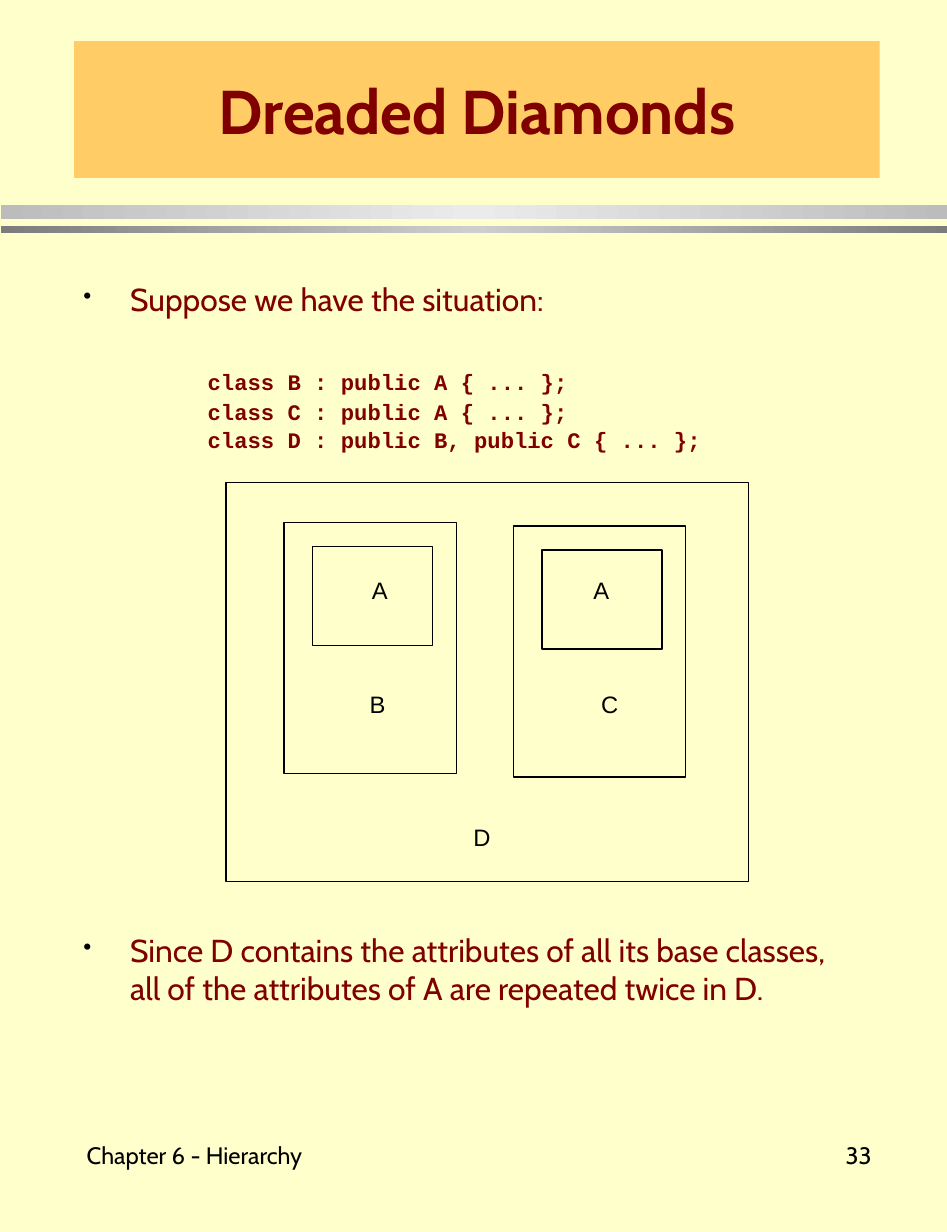
import copy

import pptx
import pptx.dml.color
import pptx.enum.shapes
import pptx.enum.text
import pptx.oxml.ns
import pptx.util

PX = 9144  # 100 px to the inch
THEME = {
    "page": "FFFFCC", "banner": "FFCC66", "maroon": "800000", "black": "000000",
    "light_bar": ("BCBCBC", "EBEBEB", "BCBCBC"),
    "dark_bar": ("7C7C7C", "CECECE", "7C7C7C"),
    "font": "Cabin", "code_font": "Courier New", "label_font": "Arial",
    "title": 39, "body": 20, "code": 14, "small": 15,
}
RGB = pptx.dml.color.RGBColor.from_string
RECTANGLE = pptx.enum.shapes.MSO_SHAPE.RECTANGLE
ALIGN = pptx.enum.text.PP_ALIGN
ANCHOR = pptx.enum.text.MSO_ANCHOR
qn = pptx.oxml.ns.qn


def add_text_frame(slide, box, anchor=ANCHOR.TOP):
    """Add a wrapping text box at box, in px, and return it with its text frame."""
    sp = slide.shapes.add_textbox(*(v * PX for v in box))
    tf = sp.text_frame
    tf.word_wrap = True
    tf.vertical_anchor = anchor
    tf.margin_left = tf.margin_right = 11 * PX
    tf.margin_top = tf.margin_bottom = 5 * PX
    return sp, tf


def add_run(p, text, size, color, font=THEME["font"], bold=False):
    r = p.add_run()
    r.text = text
    r.font.size = pptx.util.Pt(size)
    r.font.name = font
    r.font.bold = bold
    r.font.color.rgb = RGB(color)


prs = pptx.Presentation()
prs.slide_width = 830 * PX
prs.slide_height = 1080 * PX
slide = prs.slides.add_slide(prs.slide_layouts[6])
slide.background.fill.solid()
slide.background.fill.fore_color.rgb = RGB(THEME["page"])

# Gradient bars under the title
for top, height, colors in ((180, 12, THEME["light_bar"]), (198, 6, THEME["dark_bar"])):
    sp = slide.shapes.add_shape(RECTANGLE, 1 * PX, top * PX, 829 * PX, height * PX)
    sp.shadow.inherit = False
    sp.line.fill.background()
    sp.fill.gradient()
    sp.fill.gradient_angle = 0
    stop_list = next(sp.element.iter(qn("a:gsLst")))
    stop_list.append(copy.deepcopy(stop_list[-1]))
    for stop, position, color in zip(sp.fill.gradient_stops, (0, 0.5, 1), colors):
        stop.position = position
        stop.color.rgb = RGB(color)

# Footer
for text, left, width, align in (
    ("Chapter 6 - Hierarchy", 65, 258, ALIGN.LEFT),
    ("33", 609, 166, ALIGN.RIGHT),
):
    sp, tf = add_text_frame(slide, (left, 972, width, 81), ANCHOR.MIDDLE)
    p = tf.paragraphs[0]
    p.alignment = align
    add_run(p, text, THEME["small"], THEME["black"])

# Body: bullets and code, as (text, is code, space before in points)
sp, tf = add_text_frame(slide, (62, 240, 705, 720))
body = (
    ("Suppose we have the situation:", False, 0),
    ("class B : public A { ... };", True, 32),
    ("class C : public A { ... };", True, 2),
    ("class D : public B, public C { ... };", True, 1),
    ("Since D contains the attributes of all its base classes, "
     "all of the attributes of A are repeated twice in D.", False, 302),
)
for i, (text, is_code, space) in enumerate(body):
    p = tf.add_paragraph() if i else tf.paragraphs[0]
    p.space_before = pptx.util.Pt(space)
    pPr = p._p.get_or_add_pPr()
    if is_code:
        pPr.set("marL", str(109 * PX))
        add_run(p, text, THEME["code"], THEME["maroon"], THEME["code_font"], True)
    else:
        pPr.set("marL", str(41 * PX))
        pPr.set("indent", str(-41 * PX))
        bullet_color = pPr.makeelement(qn("a:buClr"), {})
        bullet_color.append(pPr.makeelement(qn("a:srgbClr"), {"val": THEME["black"]}))
        pPr.append(bullet_color)
        pPr.append(pPr.makeelement(qn("a:buSzPct"), {"val": "75000"}))
        pPr.append(pPr.makeelement(qn("a:buChar"), {"char": "•"}))
        add_run(p, text, THEME["body"], THEME["maroon"])

# Title
sp, tf = add_text_frame(slide, (65, 36, 706, 120), ANCHOR.MIDDLE)
sp.fill.solid()
sp.fill.fore_color.rgb = RGB(THEME["banner"])
p = tf.paragraphs[0]
p.alignment = ALIGN.CENTER
add_run(p, "Dreaded Diamonds", THEME["title"], THEME["maroon"], bold=True)

# Nested object boxes: D holds C and B, each of which holds its own A
object_boxes = [(198, 423, 458, 350)]
for left, top in ((450, 461), (249, 458)):
    object_boxes += [(left, top, 151, 220), (left + 25, top + 21, 105, 87)]
for box in object_boxes:
    sp = slide.shapes.add_shape(RECTANGLE, *(v * PX for v in box))
    sp.shadow.inherit = False
    sp.fill.background()
    sp.line.color.rgb = RGB(THEME["black"])
    sp.line.width = pptx.util.Pt(1)

for name, left, top, width in (
    ("A", 315, 500, 24), ("A", 509, 500, 24),
    ("C", 516, 600, 24), ("B", 313, 600, 24), ("D", 404, 716, 37),
):
    sp, tf = add_text_frame(slide, (left, top, width, 36))
    add_run(tf.paragraphs[0], name, THEME["small"], THEME["black"], THEME["label_font"])

prs.save("out.pptx")
